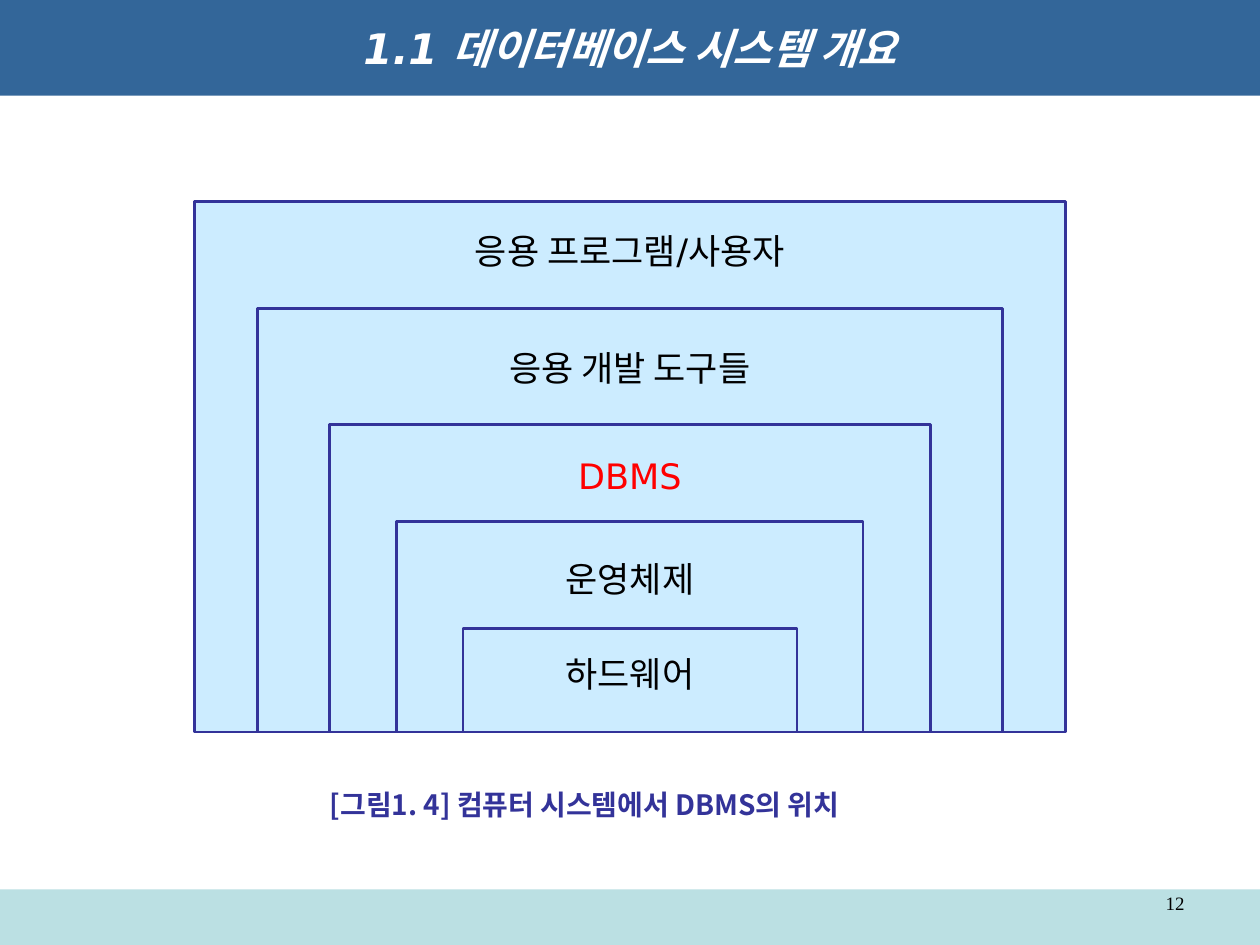
from dataclasses import dataclass

from lxml.etree import SubElement
from pptx import Presentation
from pptx.dml.color import RGBColor
from pptx.enum.shapes import MSO_SHAPE
from pptx.enum.text import MSO_ANCHOR, PP_ALIGN
from pptx.oxml.ns import qn
from pptx.util import Cm, Pt


@dataclass(frozen=True)
class Theme:
    banner: str = "336699"
    footer: str = "BBE0E3"
    layer: str = "CCECFF"
    outline: str = "333399"
    text: str = "000000"
    highlight: str = "FF0000"
    inverse: str = "FFFFFF"
    title_size: float = 24
    label_size: float = 20
    caption_size: float = 16
    number_size: float = 10.8
    line_width: float = 1.5
    latin_font: str = "DejaVu Sans"
    korean_font: str = "Noto Sans CJK KR"
    number_font: str = "Times New Roman"


class SlideBuilder:
    """Draws styled elements on the current slide."""

    def __init__(self, slide, theme):
        self.slide = slide
        self.theme = theme

    def rectangle(self, left, top, width, height, fill, outline=None):
        shape = self.slide.shapes.add_shape(
            MSO_SHAPE.RECTANGLE, Cm(left), Cm(top), Cm(width), Cm(height))
        shape.shadow.inherit = False
        shape.fill.solid()
        shape.fill.fore_color.rgb = RGBColor.from_string(fill)
        if outline:
            shape.line.color.rgb = RGBColor.from_string(outline)
            shape.line.width = Pt(self.theme.line_width)
        else:
            shape.line.fill.background()
        return shape

    def set_text(self, shape, text, size, color, font, align=PP_ALIGN.CENTER,
                 bold=False, italic=False):
        text_frame = shape.text_frame
        text_frame.word_wrap = True
        text_frame.text = text
        paragraph = text_frame.paragraphs[0]
        paragraph.alignment = align
        for run in paragraph.runs:
            run.font.size = Pt(size)
            run.font.bold = bold
            run.font.italic = italic
            run.font.color.rgb = RGBColor.from_string(color)
            run.font.name = font
            east_asian = SubElement(run._r.get_or_add_rPr(), qn("a:ea"))
            east_asian.set("typeface", self.theme.korean_font)
        return paragraph

    def title(self, text):
        theme = self.theme
        shape = self.rectangle(0, 0, 25.4, 1.93, theme.banner)
        shape.text_frame.vertical_anchor = MSO_ANCHOR.MIDDLE
        self.set_text(shape, text, theme.title_size, theme.inverse,
                      theme.latin_font, bold=True, italic=True)

    def layer(self, text, center, top, width, bottom, inset, color):
        theme = self.theme
        shape = self.rectangle(center - width / 2, top, width, bottom - top,
                               theme.layer, theme.outline)
        shape.text_frame.vertical_anchor = MSO_ANCHOR.TOP
        shape.text_frame.margin_top = Cm(inset)
        self.set_text(shape, text, theme.label_size, color, theme.latin_font)

    def text_box(self, left, top, width, height, text, **style):
        shape = self.slide.shapes.add_textbox(
            Cm(left), Cm(top), Cm(width), Cm(height))
        return self.set_text(shape, text, **style)


def main():
    presentation = Presentation()
    presentation.slide_width = Cm(25.4)
    presentation.slide_height = Cm(19.05)
    slide = presentation.slides.add_slide(presentation.slide_layouts[6])
    theme = Theme()
    builder = SlideBuilder(slide, theme)

    builder.rectangle(0, 17.93, 25.4, 1.12, theme.footer)
    builder.title("1.1 데이터베이스 시스템 개요")
    number = builder.text_box(
        18.21, 17.93, 5.92, 0.74, "12", size=theme.number_size,
        color=theme.text, font=theme.number_font, align=PP_ALIGN.RIGHT)
    number.line_spacing = 0.8

    layers = [
        ("응용 프로그램/사용자", 4.06, 17.55, 0.56, theme.text),
        ("응용 개발 도구들", 6.22, 15.01, 0.76, theme.text),
        ("DBMS", 8.56, 12.12, 0.6, theme.highlight),
        ("운영체제", 10.52, 9.4, 0.71, theme.text),
        ("하드웨어", 12.67, 6.73, 0.48, theme.text),
    ]
    for text, top, width, inset, color in layers:
        builder.layer(text, 12.7, top, width, 14.76, inset, color)

    builder.text_box(
        6.4, 15.75, 14.22, 0.94, "[그림1. 4] 컴퓨터 시스템에서 DBMS의 위치",
        size=theme.caption_size, color=theme.outline, font=theme.korean_font,
        align=PP_ALIGN.JUSTIFY, bold=True)
    presentation.save("out.pptx")


if __name__ == "__main__":
    main()
